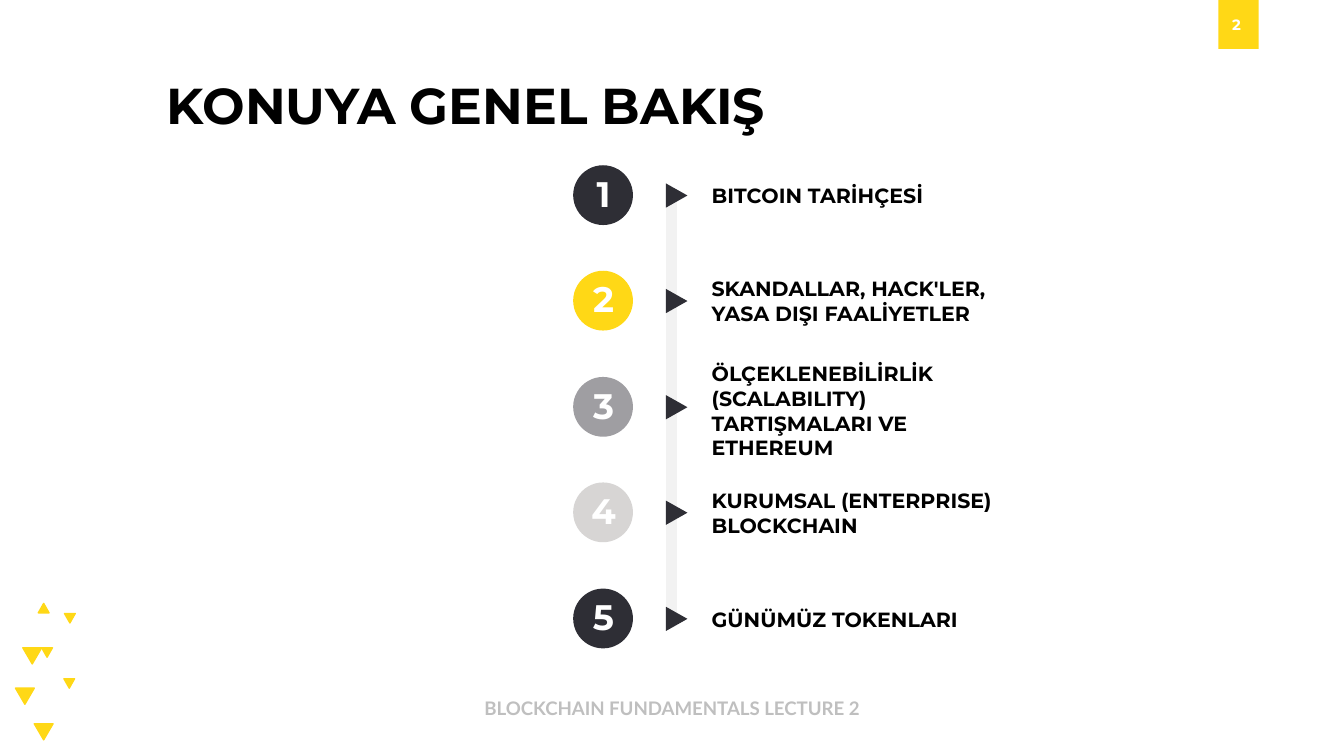
from pptx import Presentation
from pptx.dml.color import RGBColor
from pptx.enum import shapes, text
from pptx.oxml import ns
from pptx import util as u
from lxml import etree

PX = 4572
GOLD = RGBColor(0xFF, 0xD8, 0x16)
DARK = RGBColor(0x2E, 0x2E, 0x35)
GRAY = RGBColor(0x9F, 0x9E, 0xA2)
PALE = RGBColor(0xD7, 0xD5, 0xD4)
RAIL = RGBColor(0xF2, 0xF2, 0xF2)
MUTED = RGBColor(0xBF, 0xBF, 0xBF)
WHITE = RGBColor(0xFF, 0xFF, 0xFF)
BLACK = RGBColor(0, 0, 0)

KIND = shapes.MSO_SHAPE
MID = text.MSO_ANCHOR.MIDDLE
TOP = text.MSO_ANCHOR.TOP
LEFT = text.PP_ALIGN.LEFT
MIDDLE = text.PP_ALIGN.CENTER

TOPICS = [
    ("BITCOIN TARİHÇESİ", DARK, 412, 22),
    ("SKANDALLAR, HACK'LER, YASA DIŞI FAALİYETLER", GOLD, 468, 22),
    ("ÖLÇEKLENEBİLİRLİK (SCALABILITY) TARTIŞMALARI VE ETHEREUM", GRAY, 493, 32),
    ("KURUMSAL (ENTERPRISE) BLOCKCHAIN", PALE, 556, 22),
    ("GÜNÜMÜZ TOKENLARI", DARK, 628, 22),
]
SMALL = (16, 14)
LARGE = (28, 24)
CONFETTI = [
    (62, 964, SMALL, 180),
    (34, 964, LARGE, 180),
    (95, 1010, SMALL, 180),
    (23, 1024, LARGE, 180),
    (51, 1077, LARGE, 180),
    (96, 913, SMALL, 180),
    (57, 898, SMALL, 0),
]


def px(*vals):
    return [u.Emu(v * PX) for v in vals]


def write(shape, words, size=11, font="Montserrat", color=BLACK,
          align=LEFT, anchor=MID, pad=(8, 4), lead=None):
    frame = shape.text_frame
    frame.word_wrap = True
    frame.auto_size = text.MSO_AUTO_SIZE.NONE
    frame.vertical_anchor = anchor
    side, edge = px(*pad)
    frame.margin_left = frame.margin_right = side
    frame.margin_top = frame.margin_bottom = edge
    frame.text = words
    para = frame.paragraphs[0]
    para.alignment = align
    if lead:
        para.line_spacing = lead
    face = para.runs[0].font
    face.name = font
    face.size = u.Pt(size)
    face.bold = True
    face.color.rgb = color


class Deck:
    def __init__(self, wide, high):
        self.show = Presentation()
        self.show.slide_width, self.show.slide_height = px(wide, high)
        self.slide = self.show.slides.add_slide(self.show.slide_layouts[5])

    def title(self, words, box, **style):
        head = self.slide.shapes.title
        head.left, head.top, head.width, head.height = px(*box)
        write(head, words, **style)

    def label(self, words, box, **style):
        write(self.slide.shapes.add_textbox(*px(*box)), words, **style)

    def shape(self, kind, box, fill, turn=0, edge=None):
        item = self.slide.shapes.add_shape(kind, *px(*box))
        item.shadow.inherit = False
        item.rotation = turn
        item.fill.solid()
        item.fill.fore_color.rgb = fill
        if edge:
            item.line.color.rgb = fill
            item.line.width = u.Pt(edge)
        else:
            item.line.fill.background()

    def rail(self, ends, color, width):
        line = self.slide.shapes.add_connector(
            shapes.MSO_CONNECTOR.STRAIGHT, *px(*ends))
        line.line.color.rgb = color
        line.line.width = u.Pt(width)
        etree.SubElement(line._element.spPr, ns.qn("a:effectLst"))


def main():
    deck = Deck(2000, 1125)
    deck.shape(KIND.RECTANGLE, (1813, 0, 60, 73), GOLD)
    deck.label("2", (1804, 15, 72, 42), size=8, color=WHITE,
               align=MIDDLE, anchor=TOP, pad=(14, 8))
    for x, y, size, turn in CONFETTI:
        deck.shape(KIND.ISOSCELES_TRIANGLE, (x, y, *size), GOLD, turn, 0.75)

    deck.title("KONUYA GENEL BAKIŞ", (240, 101, 1596, 82), size=27, lead=1.31)

    deck.rail((999, 284, 999, 930), RAIL, 6)
    for i, (words, fill, wide, drop) in enumerate(TOPICS):
        y = 246 + i * 315 // 2
        deck.shape(KIND.OVAL, (853, y, 89, 89), fill)
        deck.label(str(i + 1), (863, y + 6, 70, 70), size=19,
                   color=WHITE, align=MIDDLE, anchor=TOP)
        deck.shape(KIND.ISOSCELES_TRIANGLE, (989, y + 29, 36, 32), DARK, 90)
        deck.label(words, (1051, y + drop, wide, 68 - drop))

    deck.label("BLOCKCHAIN FUNDAMENTALS LECTURE 2", (673, 997, 654, 114),
               size=10, font="Lato", color=MUTED, align=MIDDLE, pad=(8, 8))
    deck.show.save("out.pptx")


if __name__ == "__main__":
    main()
